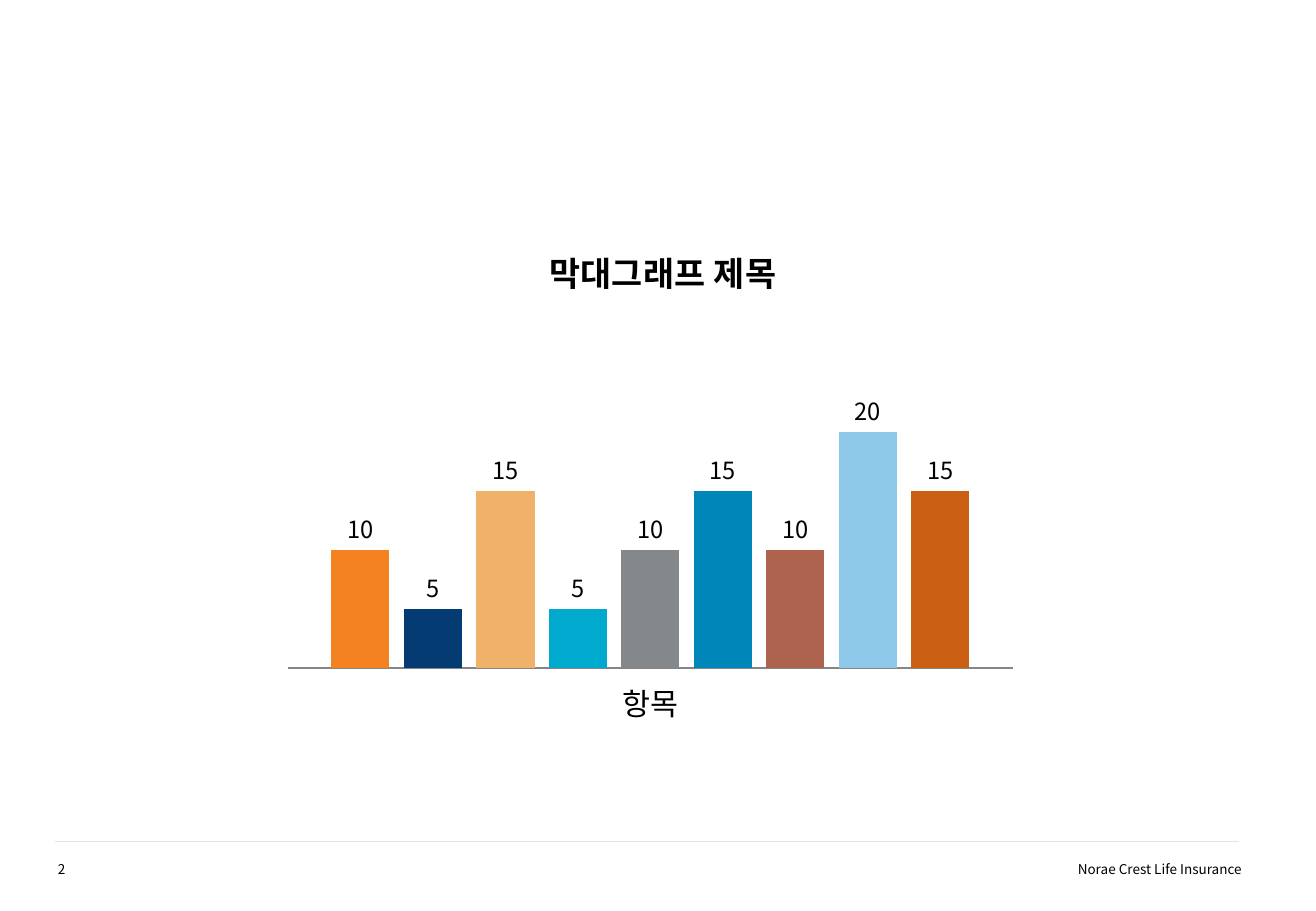
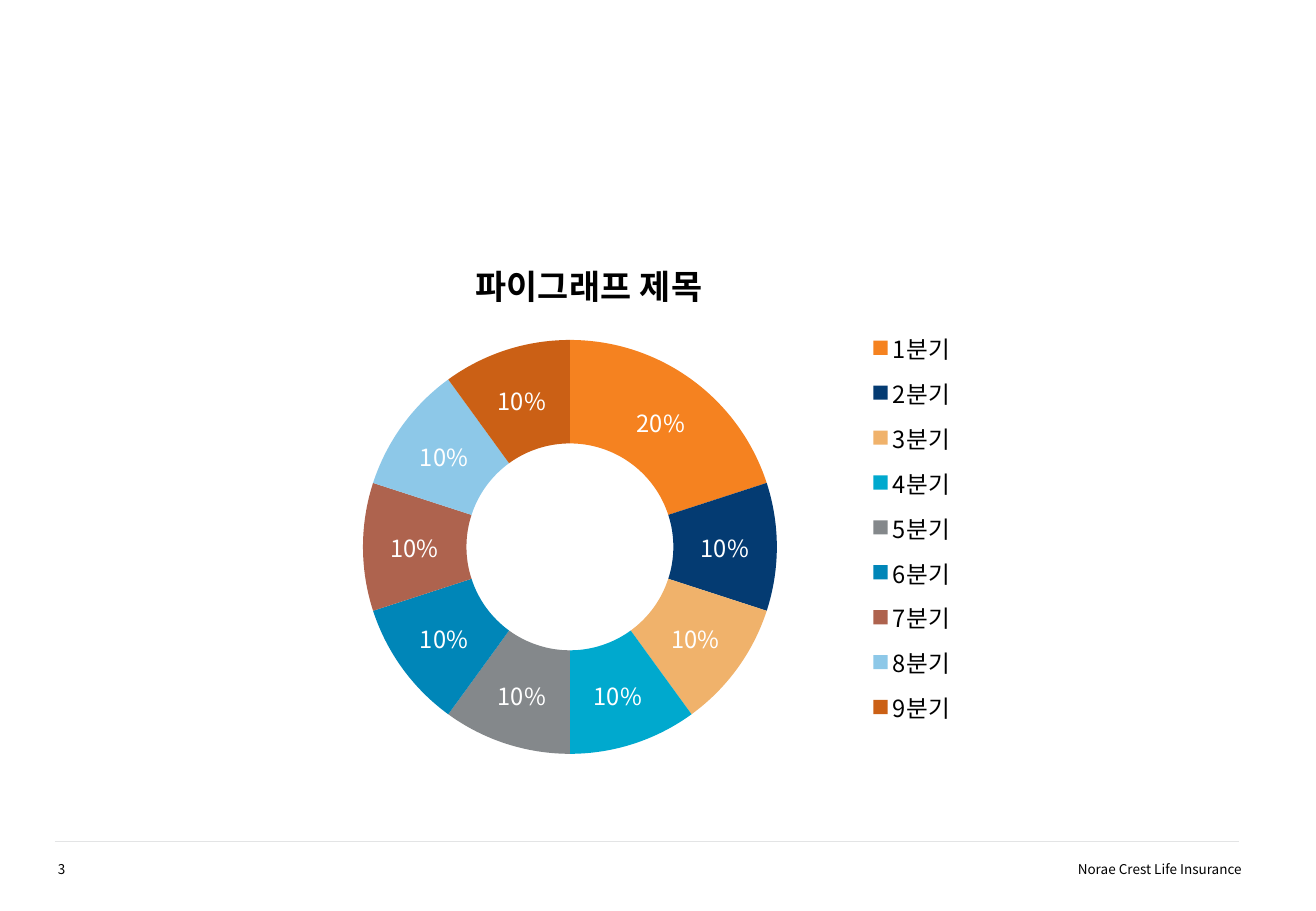
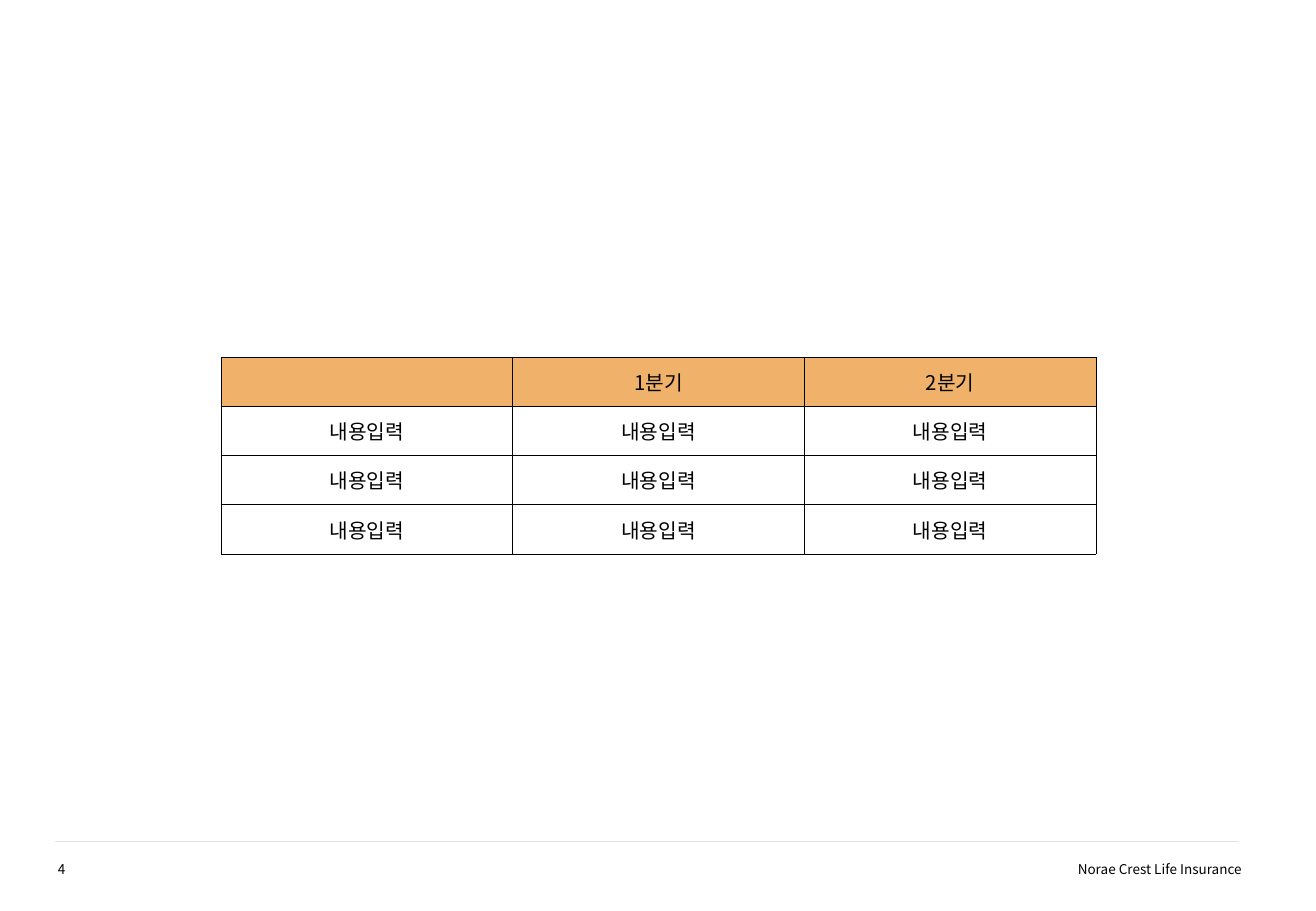
from pptx import Presentation
from pptx.chart.data import CategoryChartData
from pptx.dml.color import RGBColor
from pptx.enum.chart import XL_CHART_TYPE, XL_LABEL_POSITION, XL_LEGEND_POSITION
from pptx.enum.chart import XL_TICK_LABEL_POSITION, XL_TICK_MARK
from pptx.enum.shapes import MSO_CONNECTOR
from pptx.enum.text import MSO_ANCHOR, PP_ALIGN
from pptx.oxml import parse_xml
from pptx.oxml.ns import nsdecls
from pptx.util import Pt

BARS, RING = XL_CHART_TYPE.COLUMN_CLUSTERED, XL_CHART_TYPE.DOUGHNUT
ABOVE, SIDE = XL_LABEL_POSITION.OUTSIDE_END, XL_LEGEND_POSITION.RIGHT
NO_TICK, LOW = XL_TICK_MARK.NONE, XL_TICK_LABEL_POSITION.LOW
LEFT, MID, RIGHT = PP_ALIGN.LEFT, PP_ALIGN.CENTER, PP_ALIGN.RIGHT
TOP, MIDDLE = MSO_ANCHOR.TOP, MSO_ANCHOR.MIDDLE
STRAIGHT = MSO_CONNECTOR.STRAIGHT

FACE = "Noto Sans CJK KR"
OWNER = "Norae Crest Life Insurance"
INK = {
    "text": "000000", "paper": "FFFFFF", "rule": "E3E4E5", "axis": "868686",
    "orange": "F58220", "navy": "043B72", "sand": "F0B26B", "cyan": "00A9CE",
    "gray": "84888B", "blue": "0086B8", "brick": "AE634E", "sky": "8DC8E8",
    "rust": "CB6015",
}
HUES = ["orange", "navy", "sand", "cyan", "gray", "blue", "brick", "sky", "rust"]
WIDE, HIGH = 1316, 911


def px(*nums):
    """Turn px into EMU, as one number or a list."""
    out = [round(num * 914400 / 121.5) for num in nums]
    return out if len(out) > 1 else out[0]


def rgb(hue):
    return RGBColor.from_string(INK[hue])


def paint(fill, hue):
    fill.solid()
    fill.fore_color.rgb = rgb(hue)


def style(font, size, hue="text", bold=False):
    """Format Latin and Korean letters alike."""
    font.size, font.bold, font.name = Pt(size), bold, FACE
    font.color.rgb = rgb(hue)
    font._rPr.append(parse_xml(f'<a:ea {nsdecls("a")} typeface="{FACE}"/>'))


def write(frame, text, size=12, hue="text", bold=False, align=LEFT):
    para = frame.paragraphs[0]
    para.alignment = align
    run = para.add_run()
    run.text = text
    style(run.font, size, hue, bold)


def note(slide, box, text, align):
    frame = slide.shapes.add_textbox(*px(*box)).text_frame
    frame.word_wrap = True
    frame.vertical_anchor = TOP
    frame.margin_top = px(3)
    write(frame, text, size=8, align=align)


def foot(slide, box, num):
    """Rule, page number and owner along the bottom."""
    x, y, w, h = box
    rule = slide.shapes.add_connector(STRAIGHT, *px(x, y, x + w, y))
    rule.line.color.rgb = rgb("rule")
    rule.line.width = Pt(0.25)
    rule._element.spPr.append(parse_xml(f'<a:effectLst {nsdecls("a")}/>'))
    note(slide, (x - 9, y + 17, 530, h), str(num), LEFT)
    note(slide, (x + w - 340, y + 17, 355, h), OWNER, RIGHT)


def place(chart, tag, box, spot):
    """Fix a chart part at a px spot inside the chart box."""
    part = chart._chartSpace.xpath(f".//c:{tag}")[0]
    for old in part.xpath("c:layout"):
        part.remove(old)
    body = '<c:layoutTarget val="inner"/>' if tag == "plotArea" else ""
    body += '<c:xMode val="edge"/><c:yMode val="edge"/>'
    for key, num, full in zip("xywh", spot, box[2:] * 2):
        body += f'<c:{key} val="{num / full:.4f}"/>'
    part.insert(0 if tag == "plotArea" else 1, parse_xml(
        f'<c:layout {nsdecls("c")}><c:manualLayout>{body}</c:manualLayout></c:layout>'))


def graph(slide, box, kind, data, title, spot):
    """Add a titled chart with its shared type style."""
    chart = slide.shapes.add_chart(kind, *px(*box), data).chart
    style(chart.font, 18)
    chart.has_legend = False
    chart.has_title = True
    write(chart.chart_title.text_frame, title, size=20, bold=True, align=MID)
    chart.chart_title.include_in_layout = False
    place(chart, "title", box, spot)
    return chart


def bars(slide, box):
    data = CategoryChartData()
    data.categories = ["항목"]
    for i, val in enumerate([10, 5, 15, 5, 10, 15, 10, 20, 15], 1):
        data.add_series(f"계열 {i}", [val])
    chart = graph(slide, box, BARS, data, "막대그래프 제목", (270, 13))
    place(chart, "plotArea", box, (15, 149, 725, 295))
    plot = chart.plots[0]
    plot.gap_width, plot.overlap, plot.vary_by_categories = 150, -25, False
    for row, hue in zip(plot.series, HUES):
        paint(row.format.fill, hue)
        tags = row.data_labels
        tags.show_value, tags.position = True, ABOVE
        style(tags.font, 14)
    rise = chart.value_axis
    rise.minimum_scale, rise.maximum_scale = 0, 25
    rise.has_major_gridlines = rise.visible = False
    base = chart.category_axis
    base.major_tick_mark = base.minor_tick_mark = NO_TICK
    base.tick_label_position = LOW
    base.format.line.color.rgb = rgb("axis")
    base.format.line.width = Pt(1)
    style(base.tick_labels.font, 18)


def ring(slide, box):
    data = CategoryChartData()
    data.categories = [f"{i}분기" for i in range(1, 10)]
    data.add_series("Series 1", [20] + [10] * 8)
    chart = graph(slide, box, RING, data, "파이그래프 제목", (245, 13))
    place(chart, "plotArea", box, (139, 103, 414, 414))
    chart.has_legend = True
    key = chart.legend
    key.position, key.include_in_layout = SIDE, False
    style(key.font, 14)
    place(chart, "legend", box, (638, 83, 100, 415))
    row = chart.plots[0].series[0]
    for i, hue in enumerate(HUES):
        form = row.points[i].format
        paint(form.fill, hue)
        form.line.fill.background()
    tags = row.data_labels
    tags.show_percentage, tags.show_value = True, False
    tags.number_format, tags.number_format_is_linked = "0%", False
    style(tags.font, 14, "paper")


def edge(cell):
    """Draw a thin line on all four sides of a cell."""
    props = cell._tc.get_or_add_tcPr()
    for i, side in enumerate("LRTB"):
        props.insert(i, parse_xml(
            f'<a:ln{side} {nsdecls("a")} w="{Pt(0.25)}"><a:solidFill>'
            f'<a:srgbClr val="{INK["text"]}"/></a:solidFill></a:ln{side}>'))


def grid(slide, box):
    rows = [["", "1분기", "2분기"]] + [["내용입력"] * 3] * 3
    table = slide.shapes.add_table(4, 3, *px(*box)).table
    table.first_row = table.horz_banding = False
    for i, row in enumerate(rows):
        for j, text in enumerate(row):
            cell = table.cell(i, j)
            cell.margin_left = cell.margin_right = 0
            cell.margin_top = cell.margin_bottom = 0
            cell.vertical_anchor = MIDDLE
            paint(cell.fill, "paper" if i else "sand")
            edge(cell)
            if text:
                write(cell.text_frame, text, align=MID)


def main():
    deck = Presentation()
    deck.slide_width, deck.slide_height = px(WIDE, HIGH)
    pages = [
        (bars, (273, 224, 755, 503)),
        (ring, (224, 237, 802, 535)),
        (grid, (221, 357, 875, 197)),
    ]
    for num, (draw, box) in enumerate(pages, 2):
        slide = deck.slides.add_slide(deck.slide_layouts[6])
        foot(slide, (55, 841, 1184, 36), num)
        draw(slide, box)
    deck.save("out.pptx")


if __name__ == "__main__":
    main()
